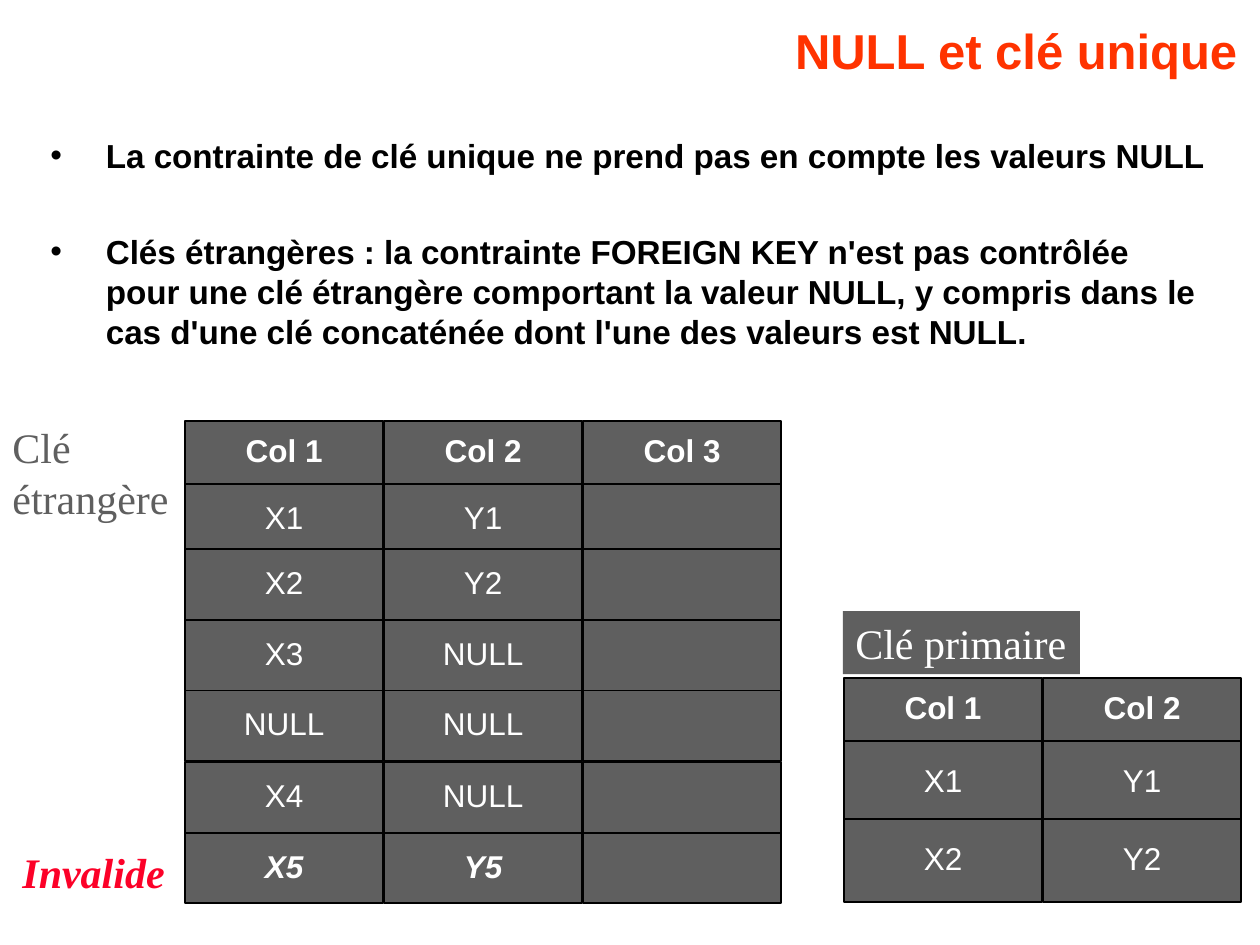
from lxml import etree
from pptx import Presentation
from pptx.dml.color import RGBColor
from pptx.enum.shapes import MSO_SHAPE
from pptx.enum.text import MSO_ANCHOR, MSO_AUTO_SIZE, PP_ALIGN
from pptx.oxml.ns import qn
from pptx.util import Inches, Pt

RECTANGLE = MSO_SHAPE.RECTANGLE
TOP, MIDDLE = MSO_ANCHOR.TOP, MSO_ANCHOR.MIDDLE
LEFT, CENTER, RIGHT = PP_ALIGN.LEFT, PP_ALIGN.CENTER, PP_ALIGN.RIGHT
NO_FIT, GROW = MSO_AUTO_SIZE.NONE, MSO_AUTO_SIZE.SHAPE_TO_FIT_TEXT

SANS, SERIF = "Arial", "Times New Roman"
GREY, BLACK, WHITE = "5F5F5F", "000000", "FFFFFF"
CELL_WIDTH, COLUMN_PITCH, HEADER_HEIGHT = 1.57, 1.58, 0.5

TITLE = "NULL et clé unique"
BULLETS = [
    ("La contrainte de clé unique ne prend pas en compte les valeurs NULL", 0),
    ("Clés étrangères : la contrainte FOREIGN KEY n'est pas contrôlée pour une "
     "clé étrangère comportant la valeur NULL, y compris dans le cas d'une clé "
     "concaténée dont l'une des valeurs est NULL.", 32.5),
]
FOREIGN_ROWS = [
    (3.34, ("Col 1", "Col 2", "Col 3")),
    (3.84, ("X1", "Y1", "")),
    (4.36, ("X2", "Y2", "")),
    (4.92, ("X3", "NULL", "")),
    (5.48, ("NULL", "NULL", "")),
    (6.05, ("X4", "NULL", "")),
    (6.61, ("X5", "Y5", "")),
]
PRIMARY_ROWS = [
    (5.38, ("Col 1", "Col 2")),
    (5.88, ("X1", "Y1")),
    (6.5, ("X2", "Y2")),
]
FOREIGN_LABEL = ("Clé étrangère", (0, 3.3, 1.52, 0.9), GREY)
INVALID_LABEL = ("Invalide", (0.08, 6.67, 1.37, 0.5), "FC0128")
PRIMARY_LABEL = ("Clé primaire", (6.69, 4.85, 1.88, 0.5), WHITE)


def rgb(value):
    return RGBColor.from_string(value)


def add_run(paragraph, text, size, font, color, bold=False, italic=False):
    run = paragraph.add_run()
    run.text = text
    run.font.size = Pt(size)
    run.font.name = font
    run.font.color.rgb = rgb(color)
    run.font.bold = bold
    run.font.italic = italic


def place(shape, box):
    shape.left, shape.top, shape.width, shape.height = map(Inches, box)


def set_frame(frame, anchor, horizontal, vertical, fit=NO_FIT, wrap=True):
    frame.auto_size = fit
    frame.word_wrap = wrap
    frame.vertical_anchor = anchor
    frame.margin_left = frame.margin_right = Inches(horizontal)
    frame.margin_top = frame.margin_bottom = Inches(vertical)


def add_grey_box(shapes, box):
    grey_box = shapes.add_shape(RECTANGLE, *map(Inches, box))
    grey_box.shadow.inherit = False
    grey_box.fill.solid()
    grey_box.fill.fore_color.rgb = rgb(GREY)
    return grey_box


def add_key_grid(slide, rows, left, row_height, invalid_row=None):
    group = slide.shapes.add_group_shape()
    for r, (top, values) in enumerate(rows):
        height = row_height if r else HEADER_HEIGHT
        for c, value in enumerate(values):
            cell = add_grey_box(group.shapes, (left + c * COLUMN_PITCH, top, CELL_WIDTH, height))
            cell.line.color.rgb = rgb(BLACK)
            cell.line.width = Pt(1)
            if value:
                set_frame(cell.text_frame, MIDDLE, 0.1, 0.05)
                paragraph = cell.text_frame.paragraphs[0]
                paragraph.alignment = CENTER
                paragraph.line_spacing = 0.9
                add_run(paragraph, value, 18, SANS, WHITE,
                        bold=r in (0, invalid_row), italic=r == invalid_row)
    return group


def add_label(slide, text, box, color, emphasis=False):
    label = slide.shapes.add_textbox(*map(Inches, box))
    set_frame(label.text_frame, TOP, 0.1, 0.05, GROW)
    add_run(label.text_frame.paragraphs[0], text, 24, SERIF, color, emphasis, emphasis)


def main():
    deck = Presentation()
    deck.slide_width, deck.slide_height = Inches(10), Inches(7.5)
    slide = deck.slides.add_slide(deck.slide_layouts[1])

    title, body = slide.placeholders
    place(title, (1.31, 0, 8.63, 0.8))
    set_frame(title.text_frame, MIDDLE, 0.12, 0.06)
    heading = title.text_frame.paragraphs[0]
    heading.alignment = RIGHT
    add_run(heading, TITLE, 28, SANS, "FF3300", bold=True)

    place(body, (0.28, 1.01, 9.45, 6.49))
    set_frame(body.text_frame, TOP, 0.12, 0.06)
    for i, (text, space) in enumerate(BULLETS):
        bullet = body.text_frame.add_paragraph() if i else body.text_frame.paragraphs[0]
        bullet.alignment = LEFT
        bullet.space_before = Pt(space)
        properties = bullet._p.get_or_add_pPr()
        properties.set("marL", str(Inches(0.44)))
        properties.set("indent", str(Inches(-0.44)))
        etree.SubElement(properties, qn("a:buChar"), char="•")
        add_run(bullet, text, 19, SANS, BLACK, bold=True)

    add_label(slide, *FOREIGN_LABEL)
    add_key_grid(slide, FOREIGN_ROWS, 1.47, 0.56, invalid_row=len(FOREIGN_ROWS) - 1)
    primary_group = add_key_grid(slide, PRIMARY_ROWS, 6.7, 0.66)

    text, box, color = PRIMARY_LABEL
    primary_label = add_grey_box(primary_group.shapes, box)
    primary_label.line.fill.background()
    set_frame(primary_label.text_frame, TOP, 0.1, 0.05, GROW, wrap=False)
    caption = primary_label.text_frame.paragraphs[0]
    caption.alignment = LEFT
    add_run(caption, text, 24, SERIF, color)

    add_label(slide, *INVALID_LABEL, emphasis=True)
    deck.save("out.pptx")


if __name__ == "__main__":
    main()
